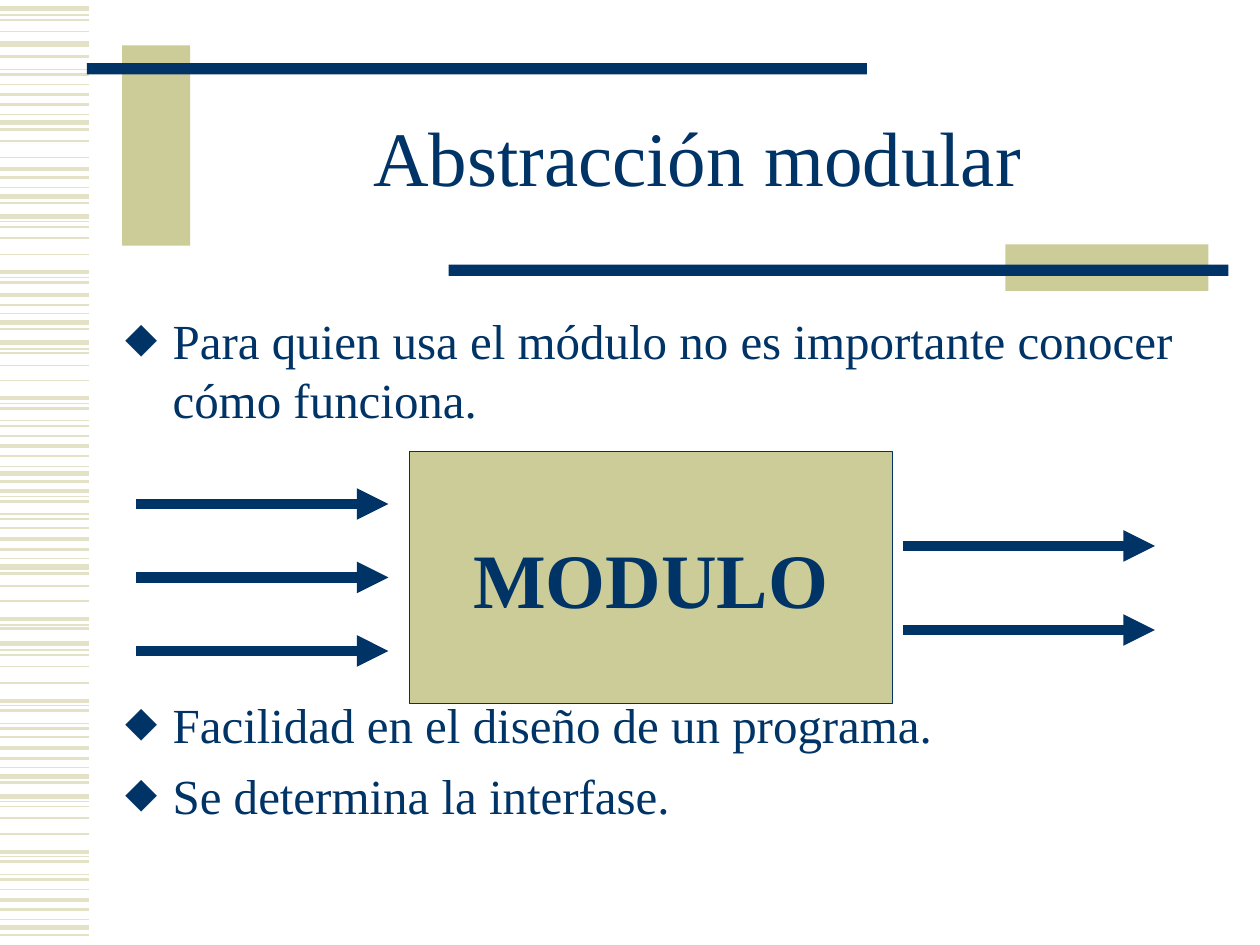
from lxml import etree
from pptx import Presentation
from pptx.dml.color import RGBColor
from pptx.enum import shapes, text
from pptx.oxml.ns import qn
from pptx.util import Inches, Pt

NAVY = RGBColor(0x00, 0x33, 0x66)
KHAKI = RGBColor(0xCC, 0xCC, 0x99)
PALE = RGBColor(0xE3, 0xE2, 0xC7)
FONT = "Times New Roman"
COLUMNS, ROWS = 120, 90

# Stripe heights in hundredths of an inch, by line width in points
STRIPES = {
    0.75: [12, 55, 91, 149, 176, 220, 249, 277, 320, 334, 370, 394, 408, 443,
           496, 516, 560, 574, 609, 636, 680, 694, 730],
    1: [16, 25, 67, 112, 125, 180, 189, 202, 280, 290, 302, 346, 419, 465,
        477, 520, 529, 542, 585, 640, 649, 662, 706],
    1.5: [45, 59, 83, 103, 141, 161, 224, 242, 261, 324, 338, 362, 382, 398,
          412, 436, 455, 499, 564, 578, 602, 621, 684, 698, 722, 742],
    2.25: [75, 134, 216, 234, 316, 354, 390, 428, 491, 556, 594, 676, 714],
    3: [7, 35, 97, 156, 172, 256, 272, 376, 450, 511, 616, 632, 736],
}
ROWS_PER_HUNDREDTH = 0.12


class SlideBuilder:
    """Draws styled elements on a grid of COLUMNS by ROWS."""

    def __init__(self, presentation):
        self.slide = presentation.slides.add_slide(presentation.slide_layouts[1])
        self.column = presentation.slide_width / COLUMNS
        self.row = presentation.slide_height / ROWS

    def place(self, left, top, width, height):
        return (round(left * self.column), round(top * self.row),
                round(width * self.column), round(height * self.row))

    def style(self, paragraph, size, bold=False):
        font = paragraph.font
        font.name, font.size, font.bold = FONT, Pt(size), bold
        font.color.rgb = NAVY

    def block(self, area, fill, outline=None):
        shape = self.slide.shapes.add_shape(
            shapes.MSO_SHAPE.RECTANGLE, *self.place(*area))
        shape.shadow.inherit = False
        shape.fill.solid()
        shape.fill.fore_color.rgb = fill
        if outline:
            shape.line.color.rgb = outline
            shape.line.width = Pt(0.75)
        else:
            shape.line.fill.background()
        return shape

    def labelled_block(self, area, fill, label, size):
        shape = self.block(area, fill, NAVY)
        frame = shape.text_frame
        frame.word_wrap = False
        frame.vertical_anchor = text.MSO_ANCHOR.MIDDLE
        paragraph = frame.paragraphs[0]
        paragraph.text = label
        paragraph.alignment = text.PP_ALIGN.CENTER
        self.style(paragraph, size, bold=True)

    def line(self, left, right, row, color, width, arrow=False):
        x, y, length, _ = self.place(left, row, right - left, 0)
        connector = self.slide.shapes.add_connector(
            shapes.MSO_CONNECTOR.STRAIGHT, x, y, x + length, y)
        connector.line.color.rgb = color
        connector.line.width = Pt(width)
        if arrow:
            outline = connector.line._get_or_add_ln()
            etree.SubElement(outline, qn("a:tailEnd"), type="triangle")
        etree.SubElement(connector._element.spPr, qn("a:effectLst"))

    def move(self, shape, area):
        shape.left, shape.top, shape.width, shape.height = self.place(*area)

    def title(self, area, words, size):
        shape = self.slide.shapes.title
        self.move(shape, area)
        shape.text_frame.vertical_anchor = text.MSO_ANCHOR.MIDDLE
        paragraph = shape.text_frame.paragraphs[0]
        paragraph.text = words
        paragraph.alignment = text.PP_ALIGN.CENTER
        paragraph.line_spacing = 0.85
        self.style(paragraph, size)

    def bullets(self, area, items, size):
        shape = self.slide.placeholders[1]
        self.move(shape, area)
        frame = shape.text_frame
        for index, (words, space_before) in enumerate(items):
            paragraph = frame.add_paragraph() if index else frame.paragraphs[0]
            paragraph.text = words
            paragraph.space_before = Pt(space_before)
            properties = paragraph._p.get_or_add_pPr()
            indent = Inches(0.38)
            properties.set("marL", str(indent))
            properties.set("indent", str(-indent))
            bullet_color = etree.SubElement(properties, qn("a:buClr"))
            etree.SubElement(bullet_color, qn("a:srgbClr"), val=str(NAVY))
            etree.SubElement(properties, qn("a:buFont"), typeface=FONT)
            etree.SubElement(properties, qn("a:buChar"), char="⬥")
            self.style(paragraph, size)


def main():
    presentation = Presentation()
    presentation.slide_width, presentation.slide_height = Inches(10), Inches(7.5)
    builder = SlideBuilder(presentation)

    # Striped left margin
    for width, heights in STRIPES.items():
        for height in heights:
            builder.line(0, 8.52, height * ROWS_PER_HUNDREDTH, PALE, width)

    # Bars around the title
    builder.block((11.64, 4.32, 6.48, 19.08), KHAKI)
    builder.block((8.28, 6, 74.28, 1.08), NAVY)
    builder.block((95.76, 23.28, 19.32, 4.44), KHAKI)
    builder.block((42.72, 25.2, 74.28, 1.08), NAVY)

    # Title and list, with room for the diagram after the first item
    builder.title((18, 8, 96.84, 15), "Abstracción modular", 44)
    builder.bullets((10.68, 29, 104.4, 50.88), [
        ("Para quien usa el módulo no es importante conocer cómo funciona.", 0),
        ("Facilidad en el diseño de un programa.", 152),
        ("Se determina la interfase.", 7),
    ], 28)

    # Module with its inputs and outputs
    builder.labelled_block((39, 43, 46, 24), KHAKI, "MODULO", 44)
    for left, rows in ((13, (48, 55, 62)), (86, (52, 60))):
        for row in rows:
            builder.line(left, left + 24, row, NAVY, 6, arrow=True)

    presentation.save("out.pptx")


if __name__ == "__main__":
    main()
